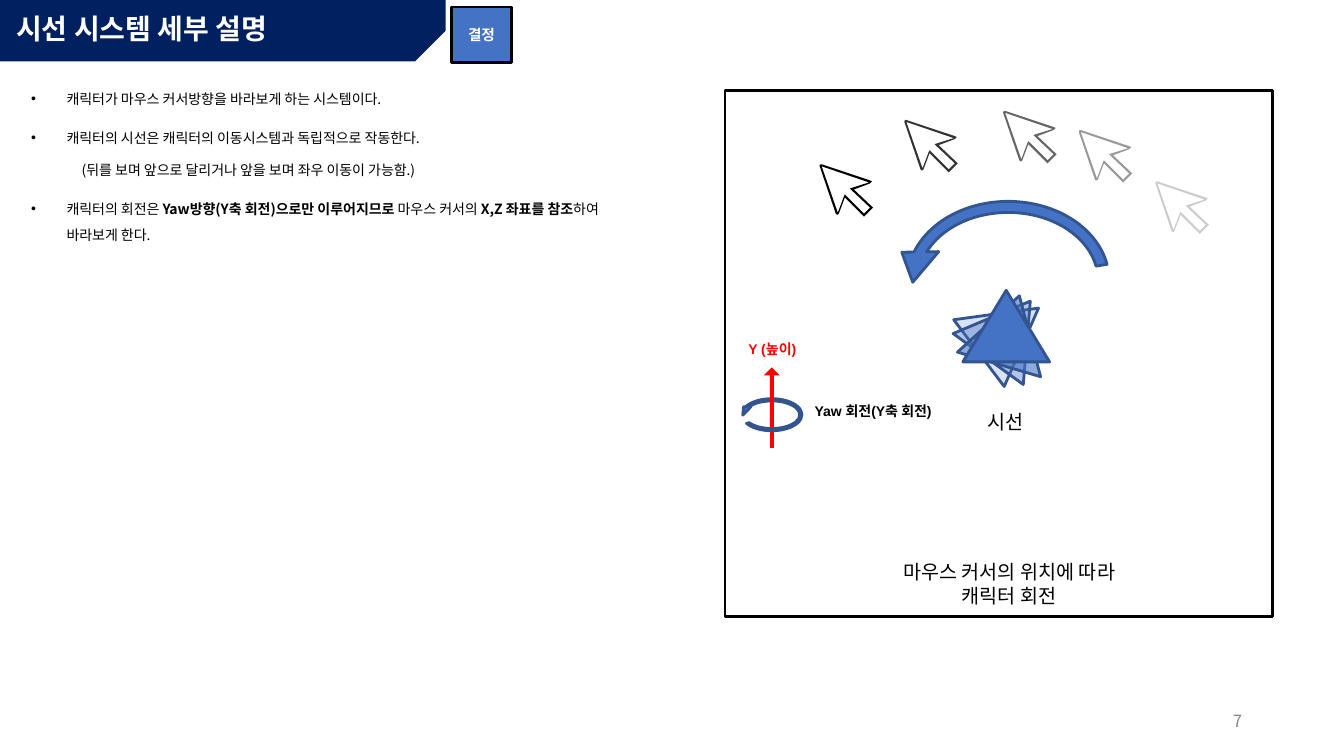
"""Build the slide that explains the character's gaze system."""
from dataclasses import dataclass

from lxml import etree
from pptx import Presentation
from pptx import util as u
from pptx.dml.color import RGBColor
from pptx.enum import shapes, text
from pptx.oxml.ns import qn

BLACK = RGBColor(0x00, 0x00, 0x00)
WHITE = RGBColor(0xFF, 0xFF, 0xFF)
NAVY = RGBColor(0x00, 0x20, 0x60)
BLUE = RGBColor(0x44, 0x72, 0xC4)
DARK_BLUE = RGBColor(0x32, 0x54, 0x91)
RED = RGBColor(0xFF, 0x00, 0x00)
GRAY = RGBColor(0x88, 0x88, 0x88)
KOREAN = "Noto Sans CJK KR"
KIND = shapes.MSO_SHAPE
ALIGN = text.PP_ALIGN
ANCHOR = text.MSO_ANCHOR


@dataclass
class Drawn:
    kind: KIND
    place: tuple
    fill: RGBColor | None = None
    line: RGBColor | None = None
    opacity: int = 100
    turn: float = 0
    flip: bool = False
    adjust: tuple = ()


@dataclass
class Label:
    lines: tuple
    place: tuple
    size: float
    color: RGBColor = BLACK
    bold: bool = False


@dataclass
class Cursor:
    left: float
    top: float
    opacity: int


@dataclass
class Item:
    spans: tuple
    level: int = 0


BAND = Drawn(KIND.SNIP_1_RECTANGLE, (0, 0, 4.42, 0.61), NAVY, turn=180, flip=True, adjust=(0.5,))
BADGE = Drawn(KIND.RECTANGLE, (4.48, 0.07, 0.59, 0.55), BLUE, BLACK)
SCENE = (
    Drawn(KIND.RECTANGLE, (7.19, 0.9, 5.43, 5.22), line=BLACK),
    Drawn(KIND.ISOSCELES_TRIANGLE, (9.59, 2.91, 0.83, 0.74), BLUE, DARK_BLUE, 20, 52.9),
    Drawn(KIND.CIRCULAR_ARROW, (8.87, 1.87, 2.26, 1.83), BLUE, DARK_BLUE, flip=True,
          adjust=(0.06, 11.42, 205.14, 113.64, 0.1)),
    Drawn(KIND.ISOSCELES_TRIANGLE, (9.58, 2.92, 0.86, 0.71), BLUE, DARK_BLUE, 40, 36),
    Drawn(KIND.ISOSCELES_TRIANGLE, (9.58, 2.92, 0.86, 0.71), BLUE, DARK_BLUE, 60, 16.5),
    Drawn(KIND.ISOSCELES_TRIANGLE, (9.55, 2.88, 0.86, 0.71), BLUE, DARK_BLUE),
)
AXIS = (
    Drawn(KIND.CIRCULAR_ARROW, (7.33, 3.93, 0.65, 0.37), BLUE, DARK_BLUE, flip=True,
          adjust=(0.06, 11.42, 205.14, 11.4, 0.1)),
    Drawn(KIND.RIGHT_ARROW, (7.36, 3.86, 0.59, 0.16), RED, turn=270, adjust=(0.25, 0.5)),
)
LABELS = (
    Label(("시선",), (9.13, 4.02, 1.68, 0.3), 14),
    Label(("마우스 커서의 위치에 따라", "캐릭터 회전"), (8.24, 5.51, 3.54, 0.57), 14),
    Label(("Yaw 회전(Y축 회전)",), (7.93, 3.94, 1.46, 0.27), 10, bold=True),
    Label(("Y (높이)",), (7.13, 3.33, 1.06, 0.24), 10, RED, True),
)
CURSORS = (
    Cursor(11.46, 1.8, 20),
    Cursor(10.7, 1.29, 40),
    Cursor(9.95, 1.1, 60),
    Cursor(8.97, 1.19, 80),
    Cursor(8.13, 1.63, 100),
)
CURSOR_INSIDE = ((2, 2), (49, 18), (33, 23), (30, 24), (32, 26), (50, 43),
                 (44, 49), (27, 32), (25, 30), (24, 32), (18, 48))
CURSOR_OUTSIDE = ((1, 0), (0, 1), (0, 2), (16, 49), (17, 50), (18, 50), (19, 49), (25, 33),
                  (44, 52), (53, 43), (34, 25), (50, 19), (52, 17), (50, 16), (2, 0))
ITEMS = (
    Item((("캐릭터가 마우스 커서방향을 바라보게 하는 시스템이다.", False),)),
    Item((("캐릭터의 시선은 캐릭터의 이동시스템과 독립적으로 작동한다.", False),)),
    Item((("(뒤를 보며 앞으로 달리거나 앞을 보며 좌우 이동이 가능함.)", False),), 1),
    Item((("캐릭터의 회전은 ", False), ("Yaw방향(Y축 회전)으로만 이루어지므로 ", True),
          ("마우스 커서의 ", False), ("X,Z 좌표를 참조", True), ("하여 바라보게 한다.", False))),
)


def inches(values: tuple) -> list:
    """Turn plain numbers into lengths."""
    return [u.Inches(value) for value in values]


def write(para, words: str, *, size: float, color: RGBColor = BLACK,
          font: str = KOREAN, bold: bool = False) -> None:
    """Add one formatted span to a paragraph."""
    span = para.add_run()
    span.text = words
    span.font.size = u.Pt(size)
    span.font.bold = bold
    span.font.name = font
    span.font.color.rgb = color
    latin = span.font._element.find(qn("a:latin"))
    east = etree.Element(qn("a:ea"), typeface=KOREAN)
    latin.addnext(east)


def paint(shape, color: RGBColor, opacity: int) -> None:
    """Fill a shape, see-through when opacity is below 100."""
    shape.fill.solid()
    shape.fill.fore_color.rgb = color
    if opacity < 100:
        tint = shape._element.spPr.find(f"{qn('a:solidFill')}/{qn('a:srgbClr')}")
        etree.SubElement(tint, qn("a:alpha"), val=str(opacity * 1000))


def draw(page, item: Drawn):
    """Draw one preset shape."""
    shape = page.shapes.add_shape(item.kind, *inches(item.place))
    shape.shadow.inherit = False
    shape.rotation = item.turn
    for index, value in enumerate(item.adjust):
        shape.adjustments[index] = value
    if item.flip:
        shape._element.spPr.find(qn("a:xfrm")).set("flipH", "1")
    if item.fill is None:
        shape.fill.background()
    else:
        paint(shape, item.fill, item.opacity)
    if item.line is None:
        shape.line.fill.background()
    else:
        shape.line.color.rgb = item.line
        shape.line.width = u.Pt(2)
    return shape


def draw_cursor(page, cursor: Cursor) -> None:
    """Draw a hollow mouse pointer."""
    builder = page.shapes.build_freeform(*CURSOR_INSIDE[0], scale=u.Inches(0.01))
    builder.add_line_segments(CURSOR_INSIDE[1:], close=True)
    builder.move_to(*CURSOR_OUTSIDE[0])
    builder.add_line_segments(CURSOR_OUTSIDE[1:], close=True)
    shape = builder.convert_to_shape(u.Inches(cursor.left), u.Inches(cursor.top))
    shape.shadow.inherit = False
    shape.line.fill.background()
    paint(shape, BLACK, cursor.opacity)


def draw_label(page, label: Label) -> None:
    """Draw a centred label."""
    box = page.shapes.add_textbox(*inches(label.place))
    frame = box.text_frame
    frame.word_wrap = True
    frame.auto_size = text.MSO_AUTO_SIZE.SHAPE_TO_FIT_TEXT
    for index, words in enumerate(label.lines):
        para = frame.add_paragraph() if index else frame.paragraphs[0]
        para.alignment = ALIGN.CENTER
        write(para, words, size=label.size, color=label.color, font="Arial", bold=label.bold)


def place_frame(box, place: tuple, anchor: ANCHOR):
    """Move a box and return its wrapped text frame."""
    box.left, box.top, box.width, box.height = inches(place)
    frame = box.text_frame
    frame.word_wrap = True
    frame.auto_size = text.MSO_AUTO_SIZE.NONE
    frame.vertical_anchor = anchor
    return frame


def fill_body(frame) -> None:
    """Write the list of rules."""
    for index, item in enumerate(ITEMS):
        para = frame.add_paragraph() if index else frame.paragraphs[0]
        para.level = item.level
        margin, indent = (0.65, 0) if item.level else (0.5, -0.35)
        props = para._p.get_or_add_pPr()
        props.set("marL", str(u.Inches(margin)))
        props.set("indent", str(u.Inches(indent)))
        if item.level:
            etree.SubElement(props, qn("a:buNone"))
        else:
            tint = etree.SubElement(props, qn("a:buClr"))
            etree.SubElement(tint, qn("a:srgbClr"), val=str(BLACK))
            etree.SubElement(props, qn("a:buFont"), typeface="Arial")
            etree.SubElement(props, qn("a:buChar"), char="•")
        para.alignment = ALIGN.LEFT
        para.line_spacing = 1.5
        para.space_before = u.Pt((5 if item.level else 10) if index else 0)
        for words, bold in item.spans:
            write(para, words, size=10, bold=bold)


def main() -> None:
    """Build and save the deck."""
    deck = Presentation()
    deck.slide_width, deck.slide_height = inches((13.33, 7.5))
    page = deck.slides.add_slide(deck.slide_layouts[1])
    band = draw(page, BAND)
    page.shapes._spTree.insert(2, band._element)

    title = place_frame(page.shapes.title, (0.06, 0.07, 4.03, 0.46), ANCHOR.MIDDLE).paragraphs[0]
    title.alignment = ALIGN.LEFT
    title.line_spacing = 0.9
    write(title, "시선 시스템 세부 설명", size=20, color=WHITE, bold=True)
    fill_body(place_frame(page.placeholders[1], (0.06, 0.76, 6.48, 6.5), ANCHOR.TOP))

    number_place = (9.42, 6.95, 3, 0.4)
    number_box = page.shapes.add_textbox(*inches(number_place))
    number = place_frame(number_box, number_place, ANCHOR.MIDDLE).paragraphs[0]
    number.alignment = ALIGN.RIGHT
    write(number, "7", size=12, color=GRAY)

    for item in SCENE:
        draw(page, item)
    for cursor in CURSORS:
        draw_cursor(page, cursor)
    axis = page.shapes.add_connector(shapes.MSO_CONNECTOR.STRAIGHT, *inches((7.66, 3.78, 7.66, 4.44)))
    axis.line.color.rgb = RED
    axis.line.width = u.Pt(3)
    etree.SubElement(axis._element.spPr, qn("a:effectLst"))
    for item in AXIS:
        draw(page, item)
    for label in LABELS:
        draw_label(page, label)

    badge = place_frame(draw(page, BADGE), BADGE.place, ANCHOR.MIDDLE).paragraphs[0]
    badge.alignment = ALIGN.CENTER
    write(badge, "결정", size=10.5, color=WHITE, font="Calibri", bold=True)
    deck.save("out.pptx")


if __name__ == "__main__":
    main()
